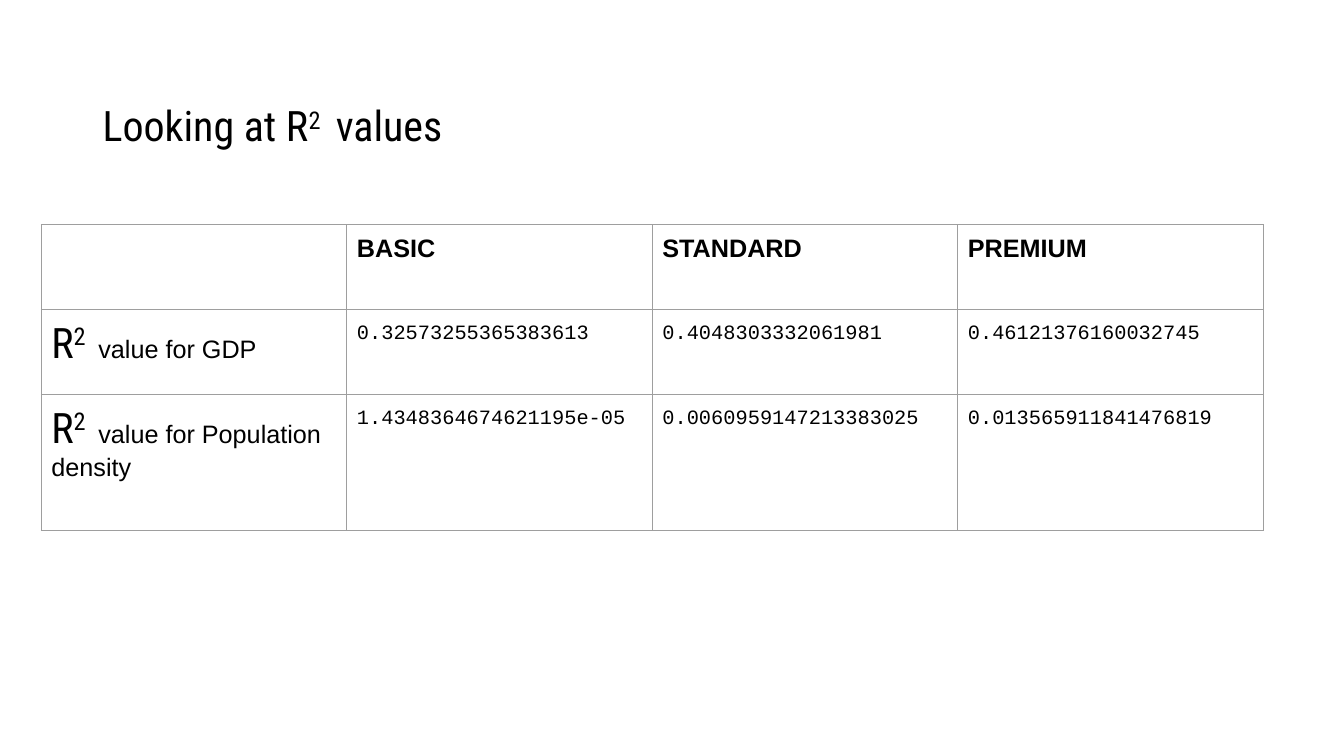
from lxml import etree
from pptx import Presentation
from pptx.dml.color import RGBColor as RGB
from pptx.enum.text import MSO_AUTO_SIZE as AutoSize
from pptx.oxml.ns import qn
from pptx.util import Inches, Pt

COLORS = {"ink": "000000", "grid": "9E9E9E"}
FORMATS = {
    "title": {"name": "Roboto Condensed", "size": Pt(30), "bold": False},
    "header": {"name": "Arial", "size": Pt(18), "bold": True},
    "label": {"name": "Arial", "size": Pt(18), "bold": False},
    "value": {"name": "Courier New", "size": Pt(14.5), "bold": False},
}
MARGINS = ("margin_left", "margin_right", "margin_top", "margin_bottom")
ROW_HEIGHTS = (0.84, 0.84, 1.35)


def r_squared(before, after, after_format):
    """Return the runs of a phrase around R with a raised 2."""
    return [(before + "R", "title", 0), ("2 ", "title", 30), (after, after_format, 0)]


HEADERS = [[]] + [[(plan, "header", 0)] for plan in ("BASIC", "STANDARD", "PREMIUM")]
RESULTS = {
    " value for GDP": (
        "0.32573255365383613", "0.4048303332061981", "0.46121376160032745"),
    " value for Population density": (
        "1.4348364674621195e-05", "0.0060959147213383025", "0.013565911841476819"),
}


def write_runs(paragraph, runs):
    """Add (text, format name, raise in percent) runs to a paragraph."""
    for text, format_name, raised in runs:
        run = paragraph.add_run()
        run.text = text
        for attribute, value in FORMATS[format_name].items():
            setattr(run.font, attribute, value)
        run.font.color.rgb = RGB.from_string(COLORS["ink"])
        if raised:
            run.font._element.set("baseline", str(raised * 1000))


def set_margins(holder):
    for margin in MARGINS:
        setattr(holder, margin, Inches(0.1))


def draw_borders(cell):
    properties = cell._tc.get_or_add_tcPr()
    for position, side in enumerate(("lnL", "lnR", "lnT", "lnB")):
        line = etree.Element(qn(f"a:{side}"), w=str(Pt(0.75)))
        fill = etree.SubElement(line, qn("a:solidFill"))
        etree.SubElement(fill, qn("a:srgbClr"), val=COLORS["grid"])
        properties.insert(position, line)


def add_title(slide, left, top, width, height):
    frame = slide.shapes.add_textbox(
        Inches(left), Inches(top), Inches(width), Inches(height)).text_frame
    frame.word_wrap = True
    frame.auto_size = AutoSize.SHAPE_TO_FIT_TEXT
    set_margins(frame)
    write_runs(frame.paragraphs[0], r_squared("Looking at ", " values", "title"))


def add_results(slide, left, top, width):
    rows = [HEADERS] + [
        [r_squared("", label, "label")] + [[(value, "value", 0)] for value in values]
        for label, values in RESULTS.items()
    ]
    table = slide.shapes.add_table(
        len(rows), len(HEADERS), Inches(left), Inches(top),
        Inches(width), Inches(sum(ROW_HEIGHTS))).table
    table.first_row = table.horz_banding = False
    for row, height in zip(table.rows, ROW_HEIGHTS):
        row.height = Inches(height)
    for row, contents in zip(table.rows, rows):
        for cell, runs in zip(row.cells, contents):
            set_margins(cell)
            cell.fill.background()
            draw_borders(cell)
            paragraph = cell.text_frame.paragraphs[0]
            write_runs(paragraph, runs)
            if runs and runs[0][1] == "value":
                paragraph.line_spacing = 1.15


def main():
    deck = Presentation()
    deck.slide_width, deck.slide_height = Inches(13.33), Inches(7.5)
    slide = deck.slides.add_slide(deck.slide_layouts[6])
    add_results(slide, 0.41, 2.23, 12.12)
    add_title(slide, 0.92, 0.89, 9.84, 0.71)
    deck.save("out.pptx")


if __name__ == "__main__":
    main()
